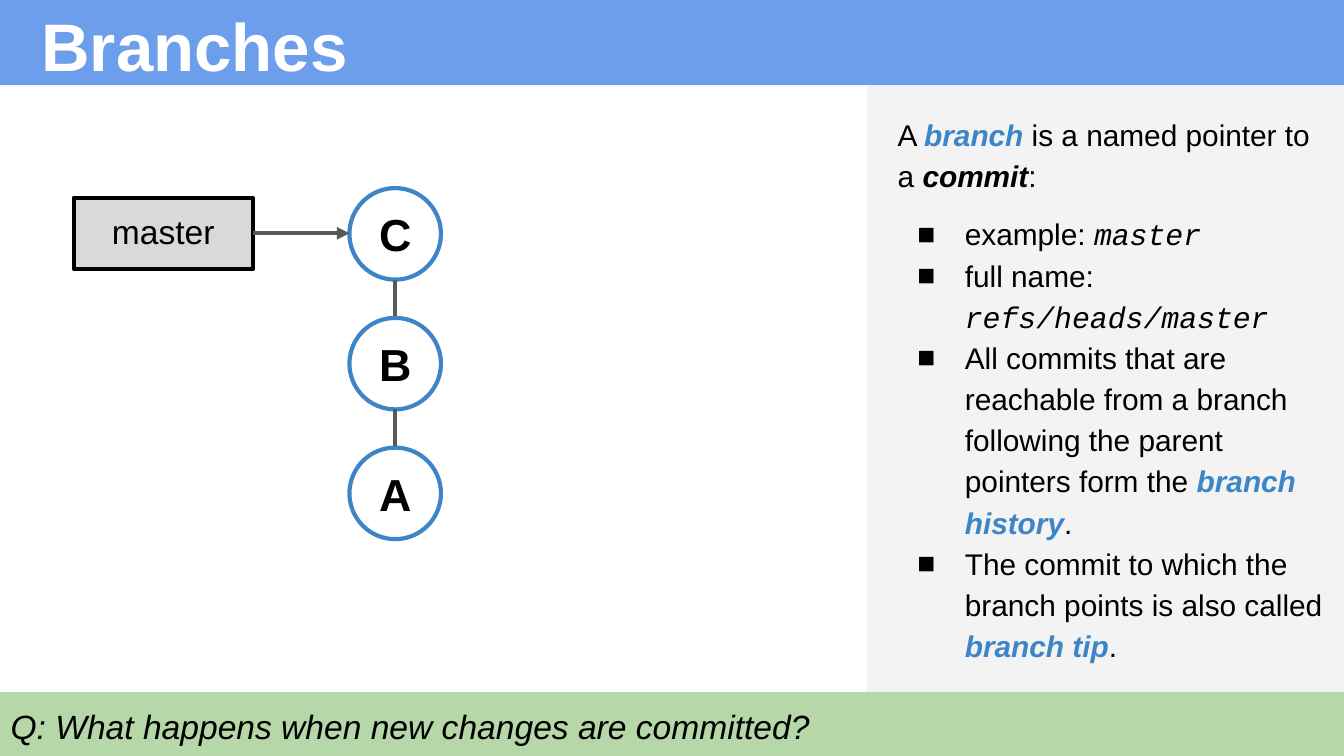
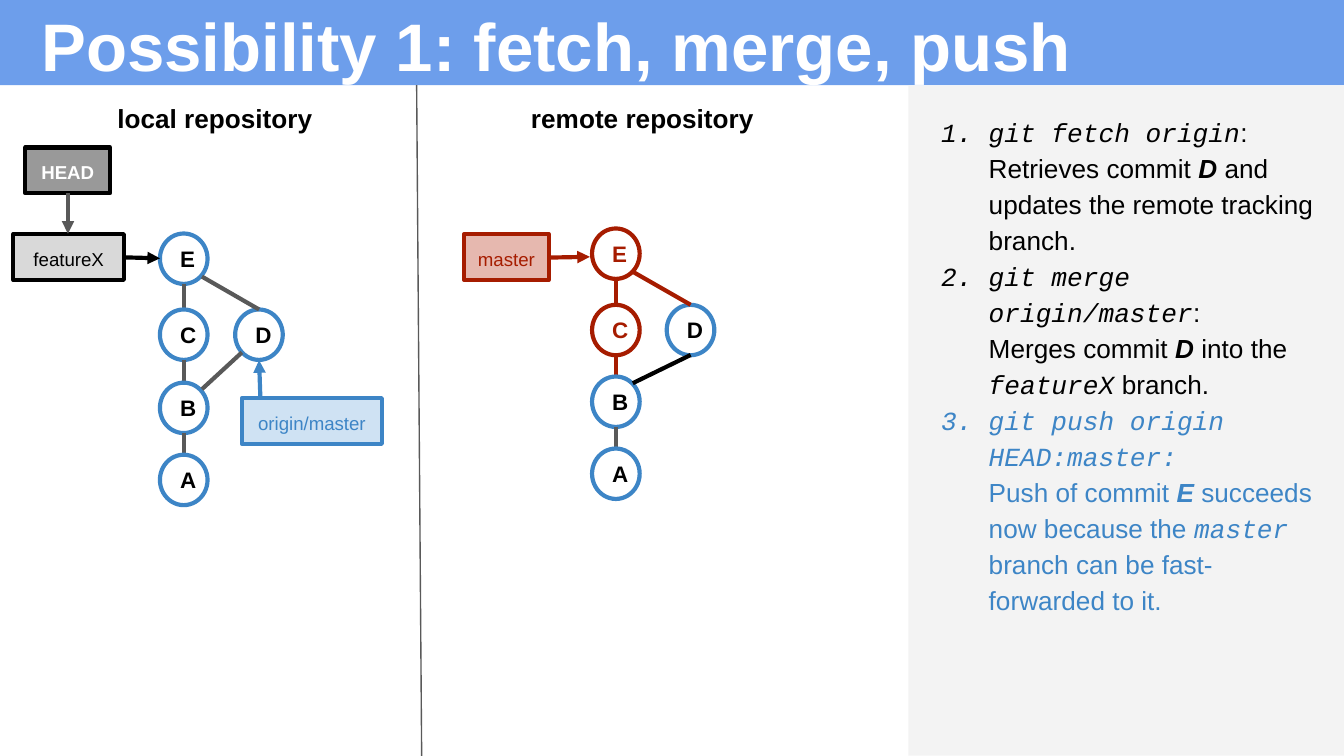
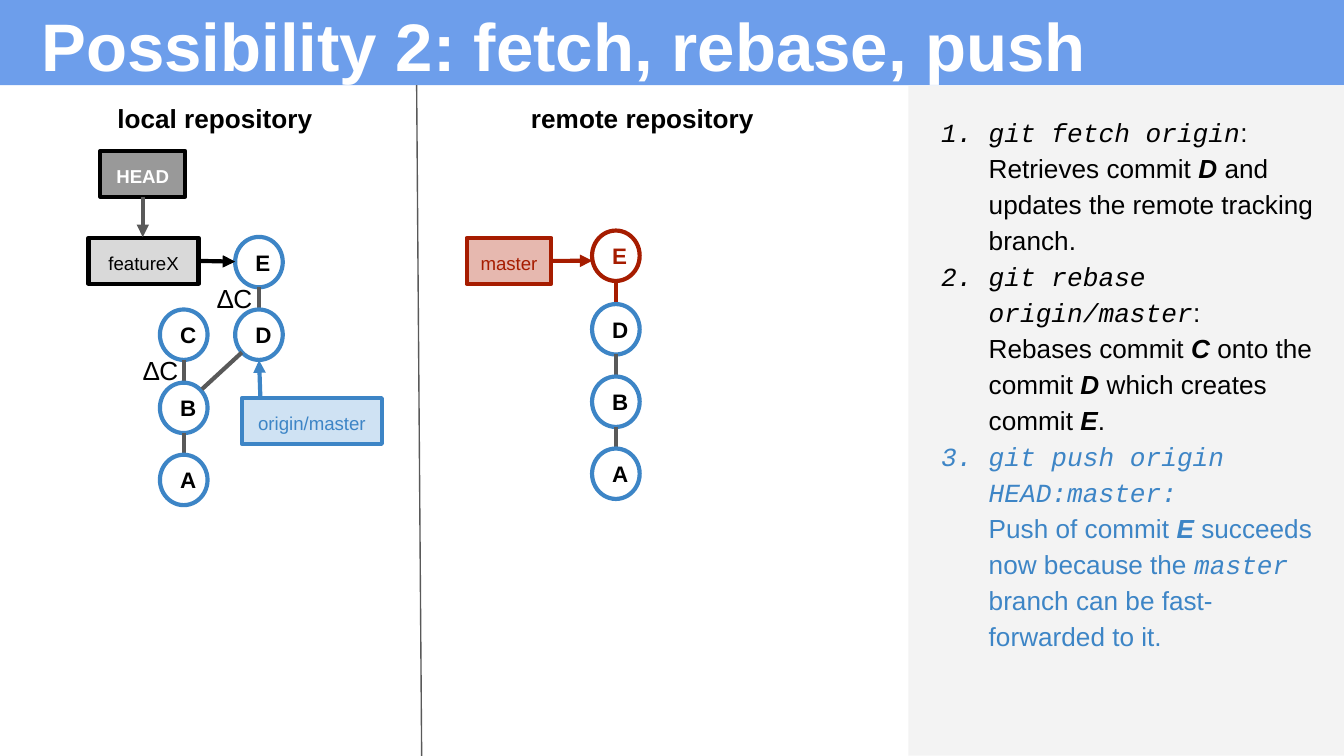
"""Build three slides on Git branches and on ways to push diverging commits."""
from lxml import etree
from pptx import Presentation
from pptx.dml.color import RGBColor
from pptx.enum import shapes, text
from pptx.oxml import ns
from pptx.util import Pt

BLACK = RGBColor(0x00, 0x00, 0x00)
WHITE = RGBColor(0xFF, 0xFF, 0xFF)
BLUE = RGBColor(0x3D, 0x85, 0xC6)
PALE_BLUE = RGBColor(0xCF, 0xE2, 0xF3)
RED = RGBColor(0xA6, 0x1C, 0x00)
PALE_RED = RGBColor(0xE6, 0xB8, 0xAF)
DARK_GREY = RGBColor(0x59, 0x59, 0x59)
MID_GREY = RGBColor(0x99, 0x99, 0x99)
LIGHT_GREY = RGBColor(0xD9, 0xD9, 0xD9)
PANEL = RGBColor(0xF3, 0xF3, 0xF3)
BAND = RGBColor(0x6D, 0x9E, 0xEB)
GREEN = RGBColor(0xB6, 0xD7, 0xA8)
RECT = shapes.MSO_SHAPE.RECTANGLE
OVAL = shapes.MSO_SHAPE.OVAL
TOP, MIDDLE, BOTTOM = text.MSO_ANCHOR.TOP, text.MSO_ANCHOR.MIDDLE, text.MSO_ANCHOR.BOTTOM
LEFT, CENTER = text.PP_ALIGN.LEFT, text.PP_ALIGN.CENTER


def add_box(s, kind, x, y, w, h, label="", size=18, color=BLACK, fill=None, line=None,
            bold=False, italic=False, align=CENTER, anchor=TOP):
    """Add a preset shape, or a text box when kind is None, and return its text frame."""
    at = Pt(x), Pt(y), Pt(w), Pt(h)
    if kind is None:
        sp = s.shapes.add_textbox(*at)
    else:
        sp = s.shapes.add_shape(kind, *at)
        sp.shadow.inherit = False
        if fill is None:
            sp.fill.background()
        else:
            sp.fill.solid()
            sp.fill.fore_color.rgb = fill
        if line is None:
            sp.line.fill.background()
        else:
            sp.line.color.rgb = line
            sp.line.width = Pt(2.25)
    tf = sp.text_frame
    tf.word_wrap = True
    tf.vertical_anchor = anchor
    tf.margin_left = tf.margin_right = tf.margin_top = tf.margin_bottom = Pt(7.2)
    tf.text = label
    p = tf.paragraphs[0]
    p.alignment = align
    for r in p.runs:
        r.font.name, r.font.size = "Arial", Pt(size)
        r.font.bold, r.font.italic = bold, italic
        r.font.color.rgb = color
    return tf


def add_line(s, x1, y1, x2, y2, color=DARK_GREY, width=2.25, arrow=False):
    """Add a straight connector, with an arrowhead at its end if asked."""
    c = s.shapes.add_connector(shapes.MSO_CONNECTOR.STRAIGHT, Pt(x1), Pt(y1), Pt(x2), Pt(y2))
    c.line.color.rgb = color
    c.line.width = Pt(width)
    if arrow:
        etree.SubElement(c.line._get_or_add_ln(), ns.qn("a:tailEnd"), type="triangle")
    etree.SubElement(c._element.spPr, ns.qn("a:effectLst"))


# Run styles: b bold, i italic, c code, h highlighted
branch_notes = [
    [("", "A "), ("bih", "branch"), ("", " is a named pointer to a "), ("bi", "commit"), ("", ":")],
    [("", "example: "), ("ic", "master")],
    [("", "full name: "), ("ic", "refs/heads/master")],
    [("", "All commits that are reachable from a branch following the parent pointers form the "),
     ("bih", "branch history"), ("", ".")],
    [("", "The commit to which the branch points is also called "), ("bih", "branch tip"), ("", ".")],
]
fetch_step = [("ic", "git fetch origin"), ("", ":\nRetrieves commit "), ("bi", "D"),
              ("", " and updates the remote tracking branch.")]
merge_step = [("ic", "git merge origin/master"), ("", ":\nMerges commit "), ("bi", "D"),
              ("", " into the "), ("ic", "featureX"), ("", " branch.")]
rebase_step = [("ic", "git rebase origin/master"), ("", ":\nRebases commit "), ("bi", "C"),
               ("", " onto the commit "), ("bi", "D "), ("", "which creates commit "),
               ("bi", "E"), ("", ".")]
push_step = [("ich", "git push origin HEAD:master:\n"), ("h", "Push of commit "), ("bih", "E"),
             ("h", " succeeds now because the "), ("ich", "master"),
             ("h", " branch can be fast-forwarded to it.")]

origin_tag = ("origin/master", 129.6, 213.3, 75, PALE_BLUE, BLUE, BLUE)
origin_arrow = (139.5, 213.5, 138.8, 193, BLUE, 2.25, True)
branch_edge = (108.2, 208.5, 129.6, 188.8)

slides = [
    dict(title="Branches", notes=branch_notes, note_size=16, bullet="■",
         panel=(464.4, 255.6, 325.4), notes_at=(473.8, 242, 312),
         node=(49, 49, 24), tag=(38.3, 18),
         stacks=[(187.2, [("C", 100.8, BLUE), ("B", 170.3, BLUE), ("A", 239.8, BLUE)])],
         tags=[("master", 39.6, 105.9, 95.8, LIGHT_GREY, BLACK, BLACK)],
         lines=[(135.4, 125, 187.2, 125, DARK_GREY, 2.25, True)], deltas=[]),
    dict(title="Possibility 1: fetch, merge, push", notes=[fetch_step, merge_step, push_step],
         note_size=14, bullet=None, panel=(486.6, 233.6, 359), notes_at=(486.6, 229, 342),
         node=(25.5, 27, 12), tag=(24.5, 10),
         stacks=[(85.7, [("E", 125.1, BLUE), ("C", 165.8, BLUE), ("B", 205, BLUE), ("A", 243.6, BLUE)]),
                 (126, [("D", 165.8, BLUE)]),
                 (317.2, [("E", 122.4, RED), ("C", 163.3, RED), ("B", 201.7, BLUE), ("A", 240.3, BLUE)]),
                 (357.2, [("D", 163.3, BLUE)])],
         tags=[("HEAD", 13.6, 79.1, 45.4, MID_GREY, BLACK, WHITE),
               ("featureX", 7.2, 125.5, 59.2, LIGHT_GREY, BLACK, BLACK),
               ("master", 248.6, 125.5, 45.4, PALE_RED, RED, RED), origin_tag],
         lines=[(36.4, 103.6, 36.4, 125.2, DARK_GREY, 2.25, True),
                (66.4, 137.9, 85.7, 138.4, BLACK, 2.25, True),
                (294.2, 138, 316, 137.6, RED, 2.25, True), origin_arrow, branch_edge,
                (138.8, 165.8, 108.2, 148.2), (370, 163.3, 339, 145.6, RED),
                (339, 205.3, 370, 190.2, BLACK)], deltas=[]),
    dict(title="Possibility 2: fetch, rebase, push", notes=[fetch_step, rebase_step, push_step],
         note_size=14, bullet=None, panel=(486.6, 233.6, 359), notes_at=(486.6, 229, 342),
         node=(25.5, 27, 12), tag=(24.5, 10),
         stacks=[(85.7, [("C", 165.8, BLUE), ("B", 205, BLUE), ("A", 243.6, BLUE)]),
                 (126, [("E", 126.9, BLUE), ("D", 165.8, BLUE)]),
                 (317.2, [("E", 123.5, RED), ("D", 162.9, BLUE), ("B", 201.7, BLUE), ("A", 240.3, BLUE)])],
         tags=[("HEAD", 53.8, 80.9, 45.4, MID_GREY, BLACK, WHITE),
               ("featureX", 47.4, 127.5, 59, LIGHT_GREY, BLACK, BLACK),
               ("master", 250, 127.5, 45.4, PALE_RED, RED, RED), origin_tag],
         lines=[(76.5, 105.4, 76.5, 127, DARK_GREY, 2.25, True),
                (106.5, 139.8, 126, 140.2, BLACK, 2.25, True),
                (295.4, 139.8, 317.4, 139.7, RED, 2.25, True), origin_arrow, branch_edge],
         deltas=[(109.4, 144), (69.8, 182.9)]),
]

prs = Presentation()
prs.slide_width, prs.slide_height = Pt(720), Pt(405)

for d in slides:
    s = prs.slides.add_slide(prs.slide_layouts[6])
    add_box(s, RECT, 0, 0, 720.5, 45.6, fill=BAND)
    add_box(s, None, 15.1, -7.2, 620, 59.8, d["title"], 36, WHITE, bold=True, align=LEFT, anchor=BOTTOM)
    x, w, h = d["panel"]
    add_box(s, RECT, x, 45.8, w, h, fill=PANEL)

    x, w, h = d["notes_at"]
    tf = add_box(s, None, x, 52.6, w, h, align=LEFT)
    for i, note in enumerate(d["notes"]):
        p = tf.paragraphs[0] if i == 0 else tf.add_paragraph()
        p.line_spacing = 1.15
        if d["bullet"] and i == 1:
            p.space_before = Pt(9)
        if i > 0 or not d["bullet"]:
            pPr = p._p.get_or_add_pPr()
            pPr.set("marL", str(Pt(36)))
            pPr.set("indent", str(-Pt(25.5)))
            clr = etree.SubElement(pPr, ns.qn("a:buClr"))
            etree.SubElement(clr, ns.qn("a:srgbClr"), val=str(BLUE if "h" in note[0][0] else BLACK))
            etree.SubElement(pPr, ns.qn("a:buFont"), typeface="Arial" if d["bullet"] else "Courier New")
            if d["bullet"]:
                etree.SubElement(pPr, ns.qn("a:buChar"), char=d["bullet"])
            else:
                etree.SubElement(pPr, ns.qn("a:buAutoNum"), type="arabicPeriod")
        for style, words in note:
            for j, part in enumerate(words.split("\n")):
                if j > 0:
                    p.add_line_break()
                if part:
                    r = p.add_run()
                    r.text = part
                    r.font.name = "Courier New" if "c" in style else "Arial"
                    r.font.size = Pt(d["note_size"])
                    r.font.bold, r.font.italic = "b" in style, "i" in style
                    r.font.color.rgb = BLUE if "h" in style else BLACK

    if d["title"] == "Branches":
        add_box(s, RECT, 0, 370.8, 720, 34.2, fill=GREEN)
        add_box(s, None, -1.4, 370.8, 449.3, 34.2, "Q: What happens when new changes are committed?",
                italic=True, align=LEFT)
    else:
        add_line(s, 223.2, 45.6, 225.9, 405, width=0.75)
        for x, side in ((41, "local repository"), (270, "remote repository")):
            add_box(s, None, x, 47.5, 148.3, 36, side, 14, bold=True)

    w, h, size = d["node"]
    for x, commits in d["stacks"]:
        for i, (letter, y, color) in enumerate(commits):
            add_box(s, OVAL, x, y, w, h, letter, size, RED if color == RED else BLACK,
                    line=color, bold=True, anchor=MIDDLE)
            if i + 1 < len(commits):
                add_line(s, x + w / 2, y + h, x + w / 2, commits[i + 1][1],
                         RED if color == RED else DARK_GREY)
    h, size = d["tag"]
    for name, x, y, w, fill, line, color in d["tags"]:
        add_box(s, RECT, x, y, w, h, name, size, color, fill, line, bold=name == "HEAD")
    for ends in d["lines"]:
        add_line(s, *ends)
    for x, y in d["deltas"]:
        add_box(s, None, x, y, 39, 24.5, "∆C", 14, align=LEFT)

prs.save("out.pptx")
